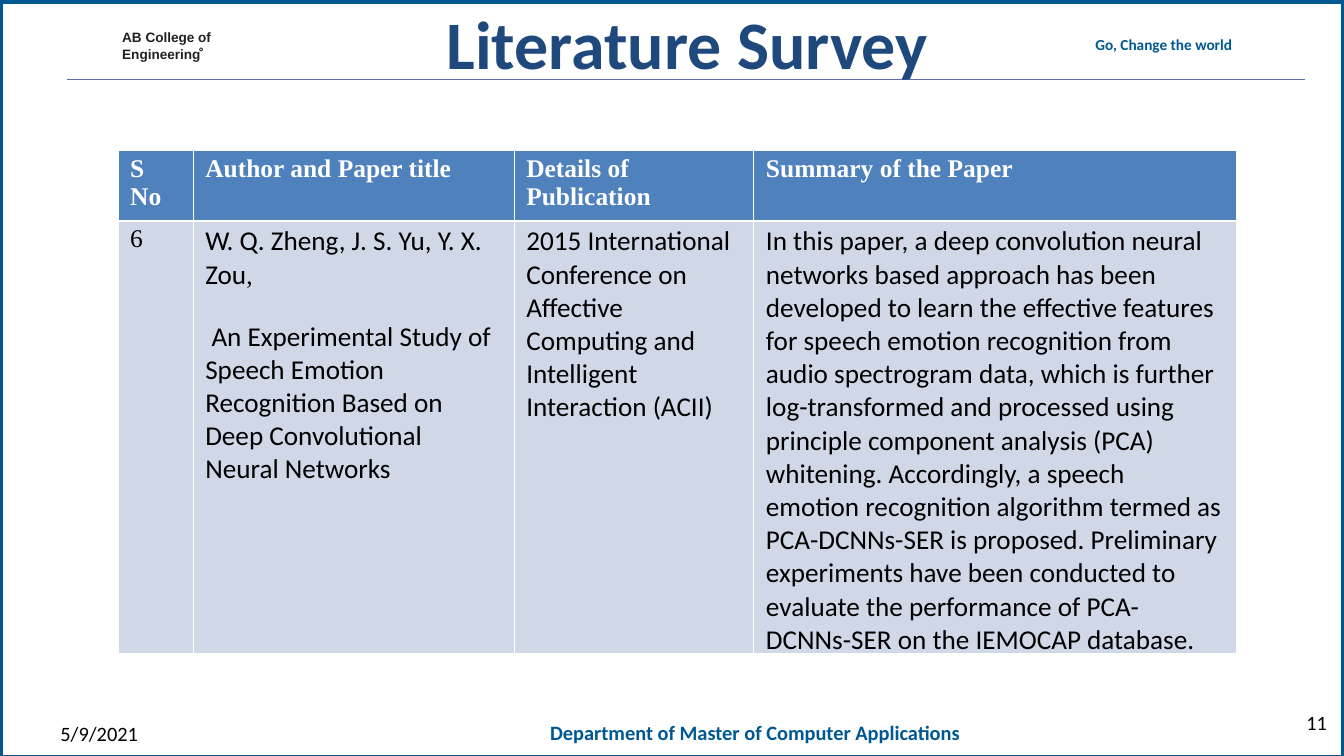
from lxml.etree import SubElement
from pptx import Presentation
from pptx.dml.color import RGBColor
from pptx.enum.shapes import MSO_CONNECTOR, MSO_SHAPE
from pptx.enum.text import PP_ALIGN
from pptx.oxml import parse_xml
from pptx.oxml.ns import nsdecls, qn
from pptx.util import Cm, Pt

WHITE = RGBColor(0xFF, 0xFF, 0xFF)
BLACK = RGBColor(0x00, 0x00, 0x00)
INK = RGBColor(0x23, 0x1F, 0x20)
BLUE = RGBColor(0x00, 0x58, 0x93)
NAVY = RGBColor(0x1F, 0x49, 0x7D)
RULE = RGBColor(0x5E, 0x6D, 0xB3)
HEADER_FILL = RGBColor(0x4F, 0x81, 0xBD)
BODY_FILL = RGBColor(0xD0, 0xD8, 0xE7)
SERIF = "Times New Roman"
SANS = "Calibri"
WIDTH, HEIGHT = 55.85, 31.42

HEADINGS = ["S No", "Author and Paper title", "Details of Publication", "Summary of the Paper"]
AUTHORS = "W. Q. Zheng, J. S. Yu, Y. X. Zou"
PAPER = ("An Experimental Study of Speech Emotion Recognition Based on "
         "Deep Convolutional Neural Networks")
PUBLICATION = ("2015 International Conference on Affective Computing and "
               "Intelligent Interaction (ACII)")
SUMMARY = (
    "In this paper, a deep convolution neural networks based approach has been developed "
    "to learn the effective features for speech emotion recognition from audio spectrogram "
    "data, which is further log-transformed and processed using principle component "
    "analysis (PCA) whitening. Accordingly, a speech emotion recognition algorithm termed "
    "as PCA-DCNNs-SER is proposed. Preliminary experiments have been conducted to evaluate "
    "the performance of PCA-DCNNs-SER on the IEMOCAP database.")


def style(para, size, color, bold=False, font=SANS):
    para.font.size = Pt(size)
    para.font.name = font
    para.font.bold = bold
    para.font.color.rgb = color


def set_borders(cell, top, bottom):
    """Give a cell white edges; top and bottom are widths in points."""
    edges = {"lnL": 0.96, "lnR": 0.96, "lnT": top, "lnB": bottom}
    properties = cell._tc.get_or_add_tcPr()
    for position, (edge, width) in enumerate(edges.items()):
        properties.insert(position, parse_xml(
            f'<a:{edge} {nsdecls("a")} w="{Pt(width)}"><a:solidFill>'
            f'<a:srgbClr val="{WHITE}"/></a:solidFill></a:{edge}>'))


class SlidePainter:
    def __init__(self, page):
        self.page = page

    def shape(self, kind, left, top, width, height, fill, line=None, line_width=0):
        shape = self.page.shapes.add_shape(kind, Cm(left), Cm(top), Cm(width), Cm(height))
        shape.shadow.inherit = False
        shape.fill.solid()
        shape.fill.fore_color.rgb = fill
        if line is None:
            shape.line.fill.background()
        else:
            shape.line.color.rgb = line
            shape.line.width = Pt(line_width)

    def rule(self, left, right, y, color, width):
        line = self.page.shapes.add_connector(
            MSO_CONNECTOR.STRAIGHT, Cm(left), Cm(y), Cm(right), Cm(y))
        line.line.color.rgb = color
        line.line.width = Pt(width)
        SubElement(line._element.spPr, qn("a:effectLst"))

    def text(self, lines, left, top, width, height, size, color, bold=False, font=SANS,
             align=PP_ALIGN.LEFT, before=0, spacing=None):
        box = self.page.shapes.add_textbox(Cm(left), Cm(top), Cm(width), Cm(height))
        frame = box.text_frame
        frame.word_wrap = True
        frame.margin_left = frame.margin_right = frame.margin_top = frame.margin_bottom = 0
        frame.text = "\n".join(lines)
        for para in frame.paragraphs:
            style(para, size, color, bold, font)
            para.alignment = align
            para.space_before = Pt(before)
            para.line_spacing = spacing

    def table(self, rows, left, top, widths, heights):
        table = self.page.shapes.add_table(
            len(rows), len(widths), Cm(left), Cm(top),
            Cm(sum(widths)), Cm(sum(heights))).table
        for column, width in zip(table.columns, widths):
            column.width = Cm(width)
        for row, height, texts in zip(table.rows, heights, rows):
            row.height = Cm(height)
            for cell, text in zip(row.cells, texts):
                cell.text = text
                cell.margin_left = cell.margin_right = Cm(0.51)
                cell.margin_top = cell.margin_bottom = Cm(0.18)
        for cell in table.rows[0].cells:
            self.fill_cell(cell, HEADER_FILL, 0.96, 3)
            style(cell.text_frame.paragraphs[0], 30, WHITE, True, SERIF)
        for cell in table.rows[1].cells:
            self.fill_cell(cell, BODY_FILL, 3, 0.96)
            for para in cell.text_frame.paragraphs:
                style(para, 32, BLACK)
        return table

    def fill_cell(self, cell, color, top, bottom):
        cell.fill.solid()
        cell.fill.fore_color.rgb = color
        set_borders(cell, top, bottom)


def main():
    deck = Presentation()
    deck.slide_width, deck.slide_height = Cm(WIDTH), Cm(HEIGHT)
    painter = SlidePainter(deck.slides.add_slide(deck.slide_layouts[6]))

    painter.shape(MSO_SHAPE.RECTANGLE, 0, 0.05, WIDTH, HEIGHT, WHITE, BLUE, 6)
    painter.rule(2.79, 54.25, 3.3, RULE, 1.25)
    painter.shape(MSO_SHAPE.DONUT, 8.28, 1.98, 0.15, 0.15, INK)
    painter.text(["AB College of", "Engineering"], 5.08, 1.27, 3.85, 1.32, 16, INK, True,
                 "Arial", before=1.4, spacing=Pt(17.9))
    painter.text(["Go, Change the world"], 45.52, 1.45, 7.7, 0.81, 18, BLUE, True, before=1)
    painter.text(["Department of Master of Computer Applications"],
                 22.86, 29.92, 19.25, 1.07, 24, BLUE, True, before=1)

    body = ["6", f"{AUTHORS}\n{PAPER}", PUBLICATION, SUMMARY]
    table = painter.table([HEADINGS, body], 4.9, 6.25,
                          [3.12, 13.34, 9.96, 20.07], [2.92, 17.98])
    style(table.cell(1, 0).text_frame.paragraphs[0], 30, BLACK, font=SERIF)
    authors, paper = table.cell(1, 1).text_frame.paragraphs
    comma = authors.add_run()
    comma.text = ","
    comma.font.name, comma.font.size = SERIF, Pt(30)
    paper.space_before = Pt(34)
    paper._p.get_or_add_pPr().set("indent", str(Cm(0.26)))

    painter.text(["Literature Survey"], 14.38, 0.05, 28.37, 3.43, 80, NAVY, True,
                 align=PP_ALIGN.CENTER)
    painter.text(["5/9/2021"], 2.51, 29.97, 12.85, 1.02, 24, BLACK)
    painter.text(["11"], 47.6, 29.51, 7.54, 1.02, 24, BLACK, align=PP_ALIGN.RIGHT)
    deck.save("out.pptx")


if __name__ == "__main__":
    main()
